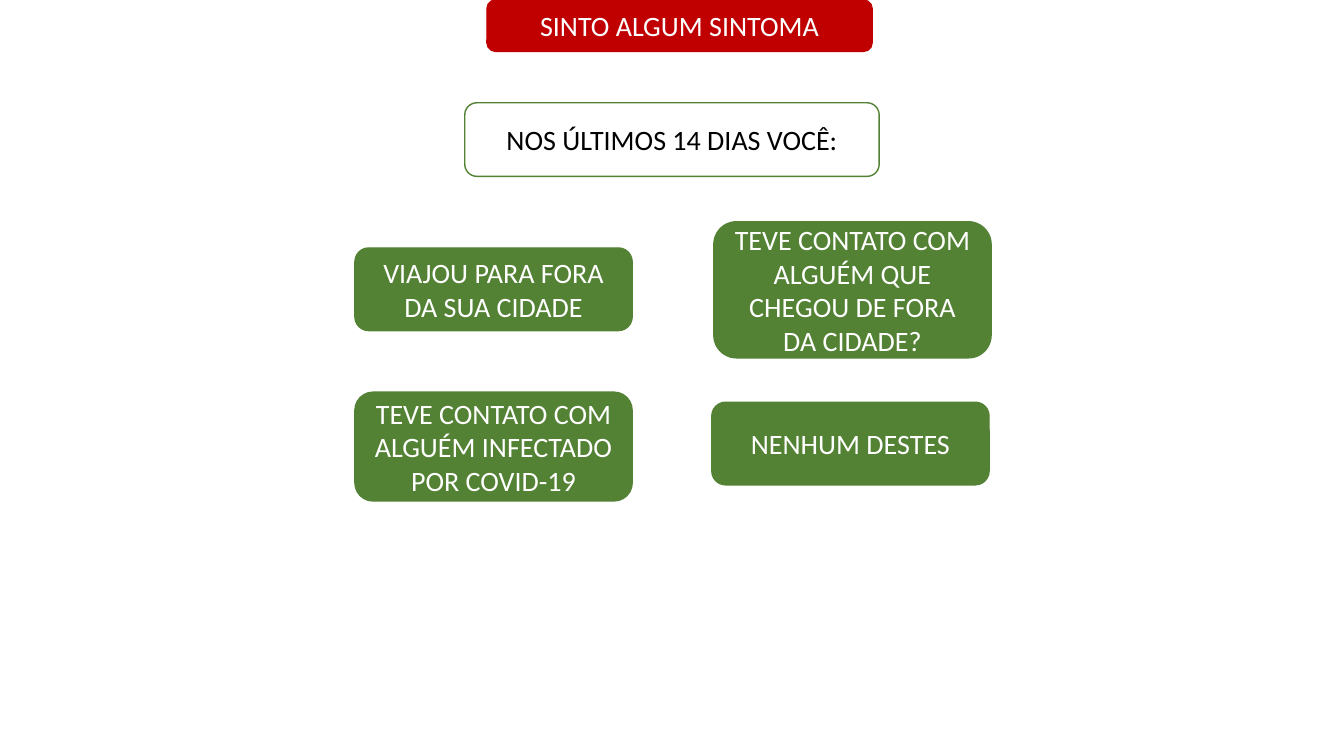
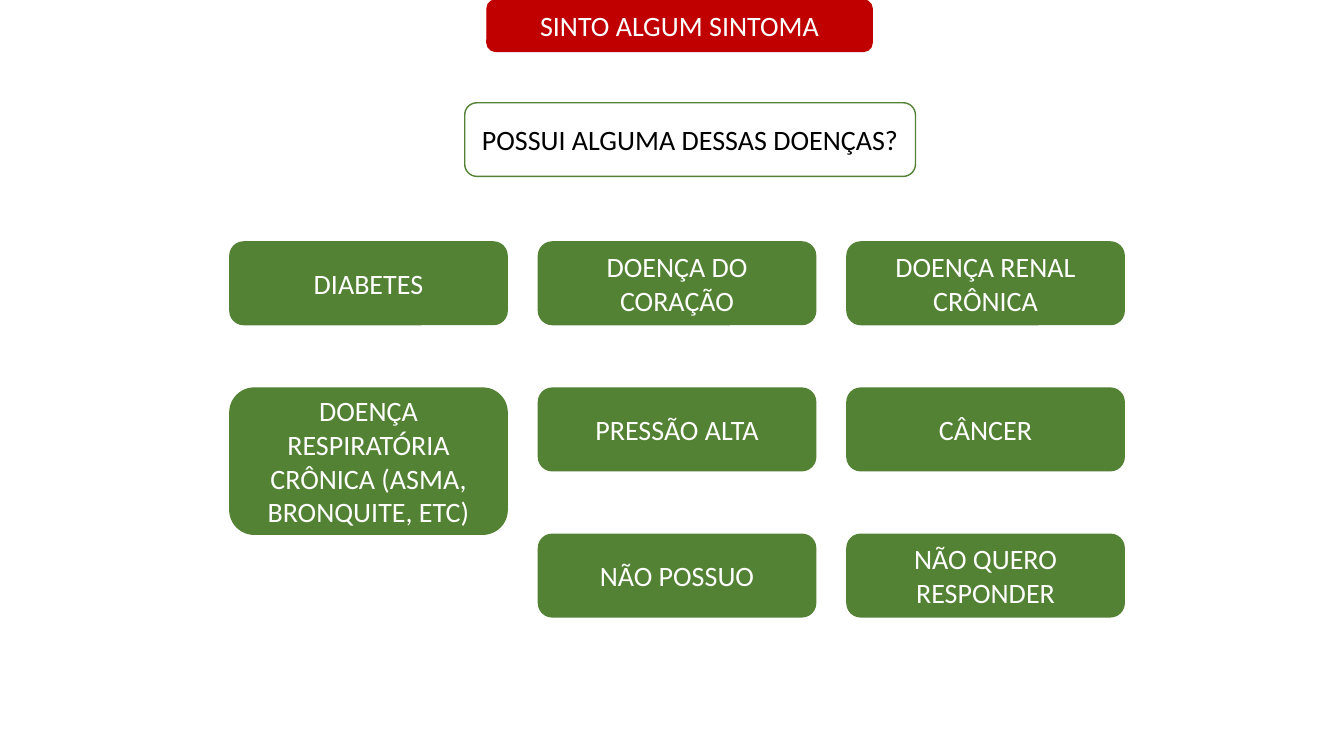
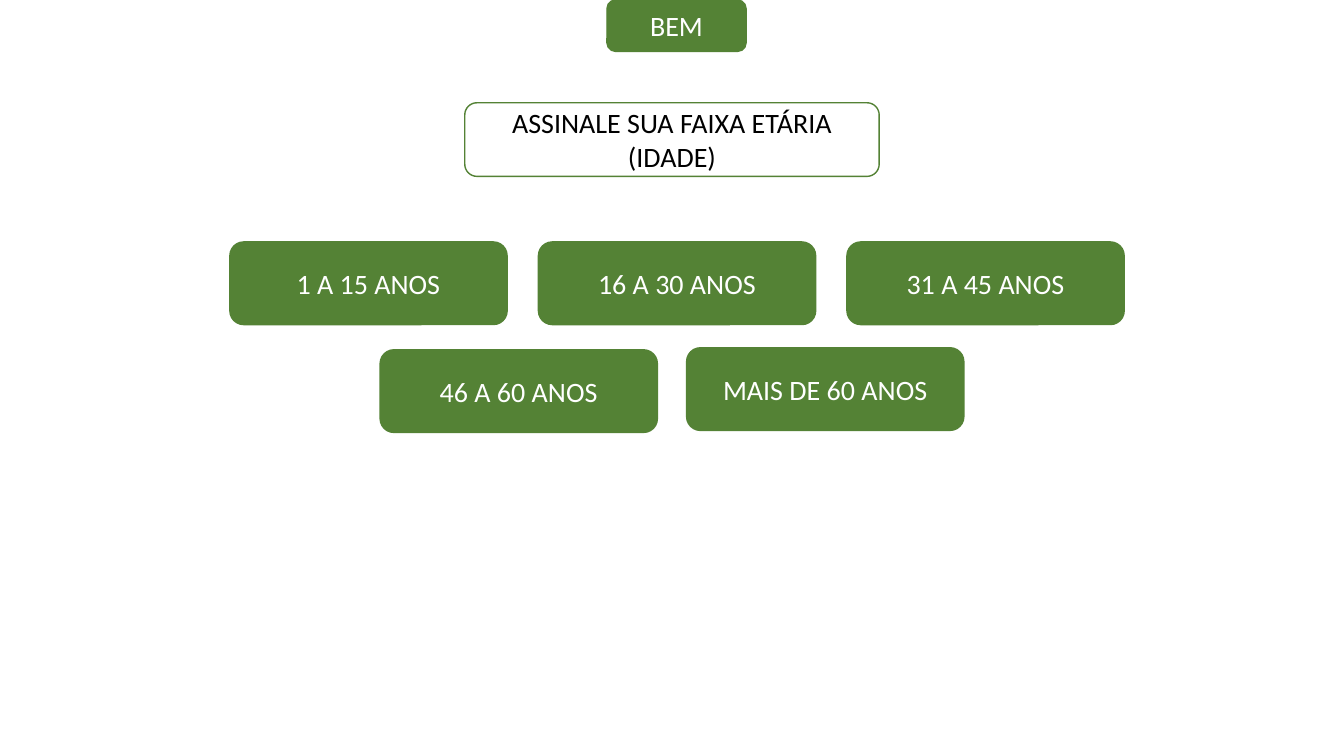
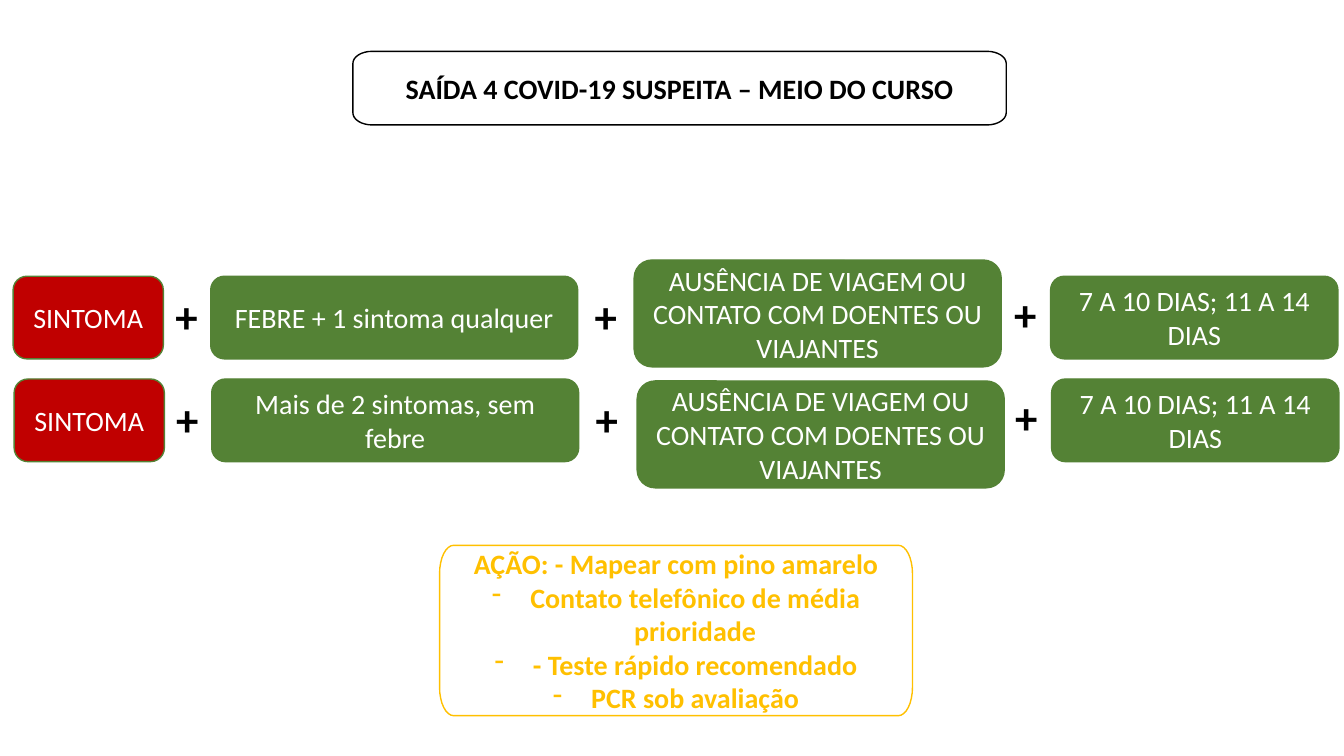
from math import cos, pi, sin

from lxml import etree
from pptx import Presentation
from pptx.dml.color import RGBColor
from pptx.enum.shapes import MSO_SHAPE
from pptx.enum.text import MSO_ANCHOR, MSO_AUTO_SIZE, PP_ALIGN
from pptx.oxml.ns import qn
from pptx.util import Inches, Pt

GREEN = RGBColor(0x54, 0x82, 0x35)
RED = RGBColor(0xC0, 0x00, 0x00)
YELLOW = RGBColor(0xFF, 0xC0, 0x00)
BLACK = RGBColor(0x00, 0x00, 0x00)
WHITE = RGBColor(0xFF, 0xFF, 0xFF)

FONT = "Calibri"
PROCESS = MSO_SHAPE.FLOWCHART_ALTERNATE_PROCESS
CENTER = PP_ALIGN.CENTER
LEFT = PP_ALIGN.LEFT
MIDDLE = MSO_ANCHOR.MIDDLE
FIT_SHAPE = MSO_AUTO_SIZE.SHAPE_TO_FIT_TEXT

OPTION_WIDTH, OPTION_HEIGHT = 2.75, 0.82
GRID_LEFT, GRID_TOP, COLUMN_STEP, ROW_STEP = 2.28, 2.4, 3.06, 1.45
CORNER_STEPS = 8

SYMPTOM_HEADER = ("SINTO ALGUM SINTOMA", 4.83, 3.82, RED)
WELL_HEADER = ("BEM", 6.02, 1.38, GREEN)


def grid_cell(column, row):
    return GRID_LEFT + column * COLUMN_STEP, GRID_TOP + row * ROW_STEP


QUESTIONS = [
    (SYMPTOM_HEADER, "NOS ÚLTIMOS 14 DIAS VOCÊ:", 4.11, [
        ("VIAJOU PARA FORA DA SUA CIDADE", (3.52, 2.46), OPTION_HEIGHT),
        ("TEVE CONTATO COM ALGUÉM INFECTADO POR COVID-19", (3.52, 3.89), 1.08),
        ("TEVE CONTATO COM ALGUÉM QUE CHEGOU DE FORA DA CIDADE?", (7.08, 2.2), 1.35),
        ("NENHUM DESTES", (7.06, 3.99), OPTION_HEIGHT),
    ]),
    (SYMPTOM_HEADER, "POSSUI ALGUMA DESSAS DOENÇAS?", 4.47, [
        ("DIABETES", grid_cell(0, 0), OPTION_HEIGHT),
        ("DOENÇA DO CORAÇÃO", grid_cell(1, 0), OPTION_HEIGHT),
        ("DOENÇA RENAL CRÔNICA", grid_cell(2, 0), OPTION_HEIGHT),
        ("DOENÇA RESPIRATÓRIA CRÔNICA (ASMA, BRONQUITE, ETC)", grid_cell(0, 1), 1.45),
        ("PRESSÃO ALTA", grid_cell(1, 1), OPTION_HEIGHT),
        ("CÂNCER", grid_cell(2, 1), OPTION_HEIGHT),
        ("NÃO POSSUO", grid_cell(1, 2), OPTION_HEIGHT),
        ("NÃO QUERO RESPONDER", grid_cell(2, 2), OPTION_HEIGHT),
    ]),
    (WELL_HEADER, "ASSINALE SUA FAIXA ETÁRIA (IDADE)", 4.11, [
        ("1 A 15 ANOS", grid_cell(0, 0), OPTION_HEIGHT),
        ("16 A 30 ANOS", grid_cell(1, 0), OPTION_HEIGHT),
        ("31 A 45 ANOS", grid_cell(2, 0), OPTION_HEIGHT),
        ("46 A 60 ANOS", (3.77, 3.47), OPTION_HEIGHT),
        ("MAIS DE 60 ANOS", (6.81, 3.45), OPTION_HEIGHT),
    ]),
]

OUTCOME_TITLE = "SAÍDA 4 COVID-19 SUSPEITA – MEIO DO CURSO"
ABSENCE = "AUSÊNCIA DE VIAGEM OU CONTATO COM DOENTES OU VIAJANTES"
PERIOD = "7 A 10 DIAS; 11 A 14 DIAS"
CRITERIA = [
    {"left": 0.13, "top": 2.74, "finding": "FEBRE + 1 sintoma qualquer", "absence": (6.29, 2.58)},
    {"left": 0.14, "top": 3.76, "finding": "Mais de 2 sintomas, sem febre", "absence": (6.32, 3.78)},
]
PLUS_OFFSETS = [(1.51, 0.08), (5.67, 0.08), (9.83, 0.06)]
ACTION_TITLE = "AÇÃO: - Mapear com pino amarelo"
ACTIONS = [
    "Contato telefônico de média prioridade",
    "- Teste rápido recomendado",
    "PCR sob avaliação",
]


def add_dash(paragraph):
    properties = paragraph._p.get_or_add_pPr()
    properties.set("marL", str(Inches(0.38)))
    properties.set("indent", str(-Inches(0.38)))
    etree.SubElement(properties, qn("a:buFontTx"))
    etree.SubElement(properties, qn("a:buChar")).set("char", "-")


def write(shape, lines, color, bold=False, size=20, align=CENTER):
    frame = shape.text_frame
    for index, line in enumerate(lines):
        paragraph = frame.add_paragraph() if index else frame.paragraphs[0]
        paragraph.text = line
        paragraph.alignment = align
        if index:
            add_dash(paragraph)
        font = paragraph.font
        font.name, font.size, font.bold = FONT, Pt(size), bold
        font.color.rgb = color


def paint(shape, fill, line):
    shape.shadow.inherit = False
    shape.fill.solid()
    shape.fill.fore_color.rgb = fill
    shape.line.color.rgb = line
    shape.line.width = Pt(1)
    shape.text_frame.word_wrap = True
    shape.text_frame.vertical_anchor = MIDDLE


def add_box(slide, text, left, top, width, height, fill=GREEN, line=GREEN):
    shape = slide.shapes.add_shape(PROCESS, Inches(left), Inches(top), Inches(width), Inches(height))
    paint(shape, fill, line)
    write(shape, [text], WHITE)


def add_frame(slide, lines, left, top, width, height, line, color, corner=(0.12, 0.12), bold=False):
    radius_x, radius_y = corner
    right, bottom = left + width - radius_x, top + height - radius_y
    centers = [(right, bottom), (left + radius_x, bottom),
               (left + radius_x, top + radius_y), (right, top + radius_y)]
    points = []
    for quarter, (center_x, center_y) in enumerate(centers):
        for step in range(CORNER_STEPS + 1):
            angle = (quarter + step / CORNER_STEPS) * pi / 2
            points.append((Inches(center_x + radius_x * cos(angle)),
                           Inches(center_y + radius_y * sin(angle))))
    builder = slide.shapes.build_freeform(*points[0])
    builder.add_line_segments(points[1:], close=True)
    shape = builder.convert_to_shape()
    paint(shape, WHITE, line)
    write(shape, lines, color, bold)


def add_plus(slide, left, top):
    box = slide.shapes.add_textbox(Inches(left), Inches(top), Inches(0.43), Inches(0.64))
    box.text_frame.word_wrap = False
    box.text_frame.auto_size = FIT_SHAPE
    write(box, ["+"], BLACK, bold=True, size=32, align=LEFT)


def build_question(slide, header, question, question_width, options):
    add_frame(slide, [question], 4.61, 1.02, question_width, 0.73, GREEN, BLACK)
    for text, (left, top), height in options:
        add_box(slide, text, left, top, OPTION_WIDTH, height)
    text, left, width, color = header
    add_box(slide, text, left, 0, width, 0.51, color, color)


def build_outcome(slide):
    add_frame(slide, [OUTCOME_TITLE], 3.5, 0.51, 6.48, 0.73, BLACK, BLACK, (0.19, 0.12), True)
    for row in CRITERIA:
        left, top = row["left"], row["top"]
        add_box(slide, "SINTOMA", left, top, 1.49, OPTION_HEIGHT, RED)
        add_box(slide, row["finding"], left + 1.96, top, 3.64, OPTION_HEIGHT)
        add_box(slide, ABSENCE, *row["absence"], 3.64, 1.06)
        add_box(slide, PERIOD, left + 10.29, top, 2.85, OPTION_HEIGHT)
        for offset_x, offset_y in PLUS_OFFSETS:
            add_plus(slide, left + offset_x, top + offset_y)
    add_frame(slide, [ACTION_TITLE, *ACTIONS], 4.36, 5.41, 4.69, 1.69,
              YELLOW, YELLOW, (0.14, 0.28), True)


def main():
    presentation = Presentation()
    presentation.slide_width = Inches(13.33)
    presentation.slide_height = Inches(7.5)
    blank = presentation.slide_layouts[6]
    for question in QUESTIONS:
        build_question(presentation.slides.add_slide(blank), *question)
    build_outcome(presentation.slides.add_slide(blank))
    presentation.save("out.pptx")


if __name__ == "__main__":
    main()
